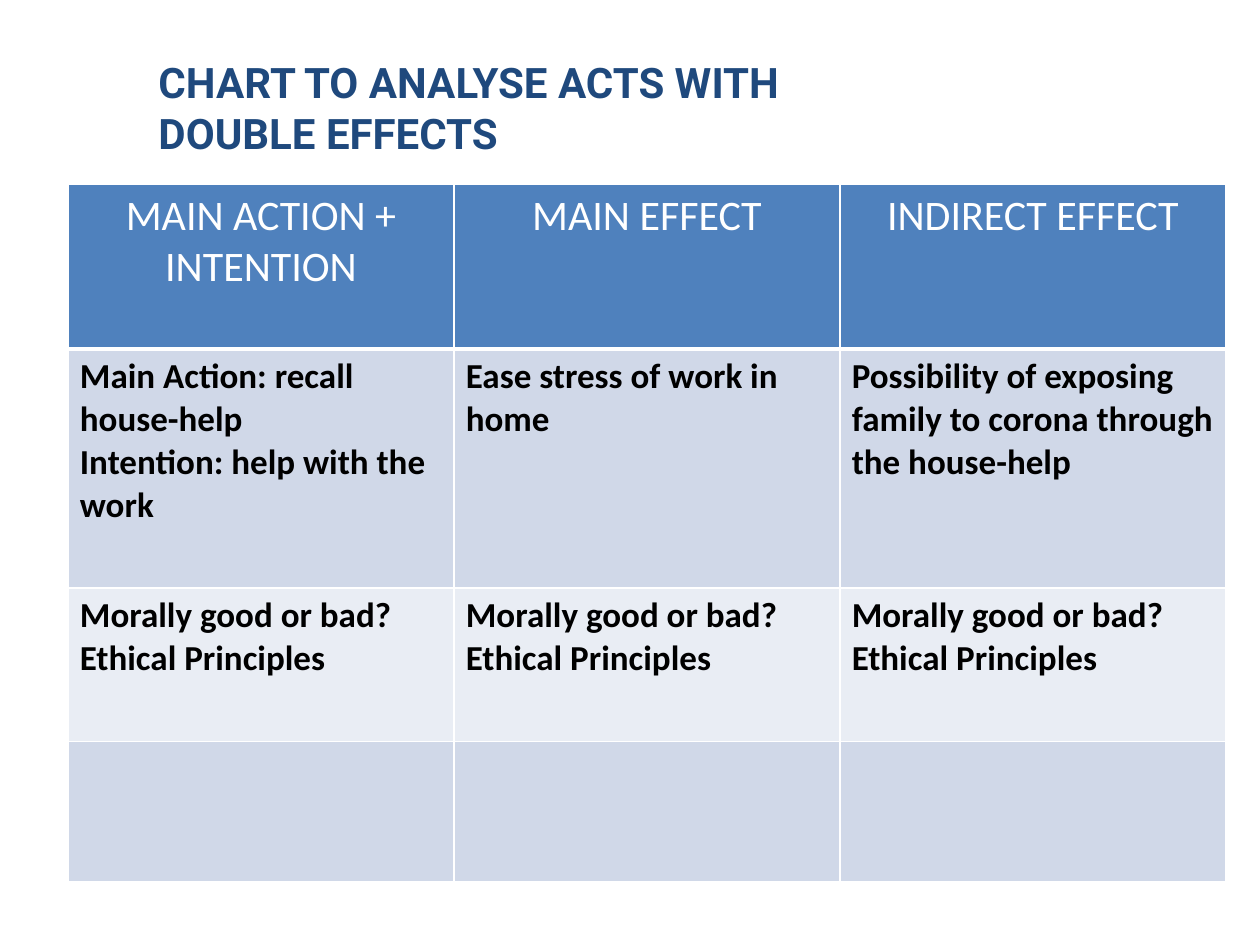
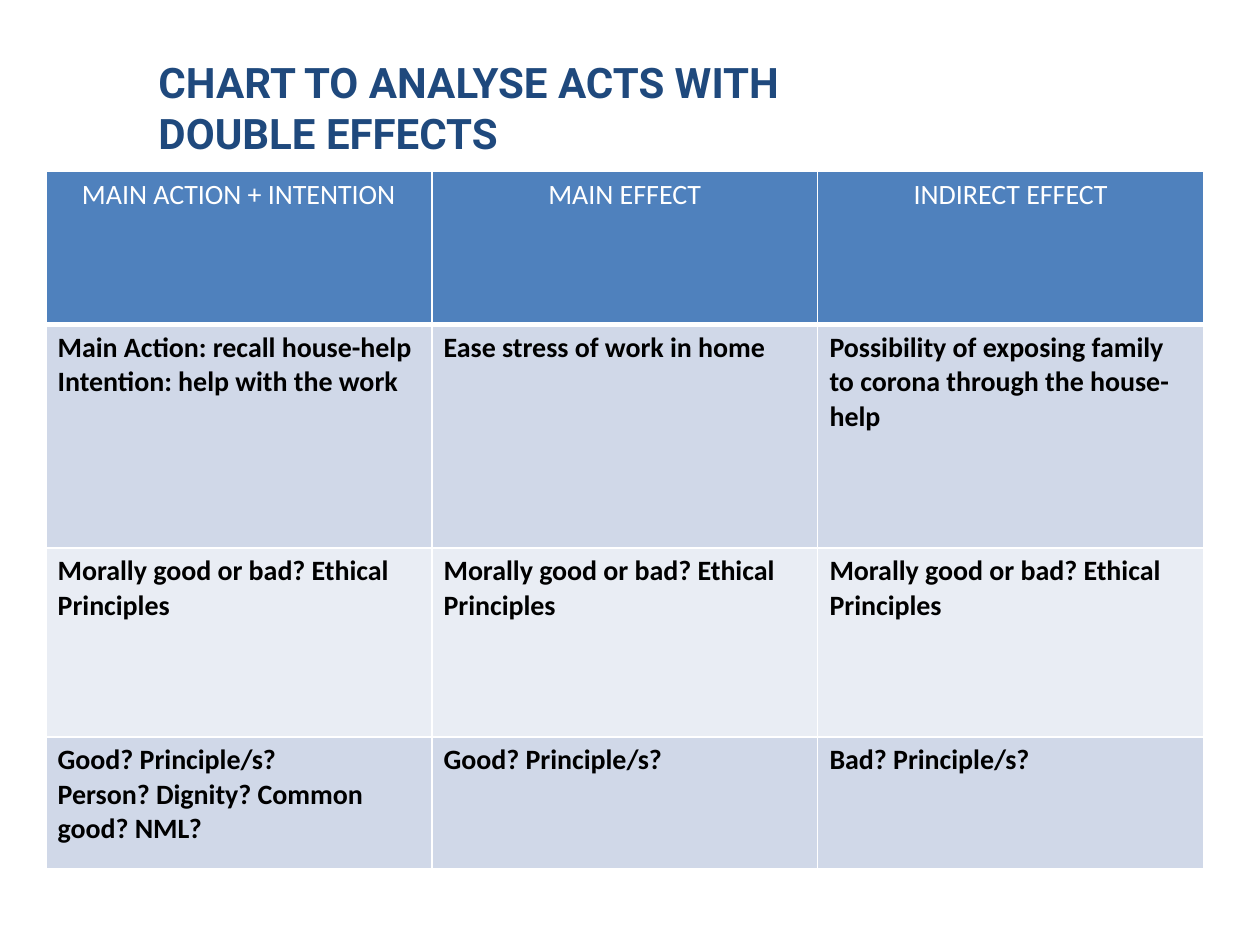
import pptx
import pptx.util
import pptx.dml.color
import pptx.enum.text
import pptx.oxml
import pptx.oxml.ns

Pt = pptx.util.Pt
RGBColor = pptx.dml.color.RGBColor
ALIGN = pptx.enum.text.PP_ALIGN

NAVY = RGBColor(0x1F, 0x49, 0x7D)
HEADER_BLUE = RGBColor(0x4F, 0x81, 0xBD)
BAND_DARK = RGBColor(0xD0, 0xD8, 0xE8)
BAND_LIGHT = RGBColor(0xE9, 0xED, 0xF4)
WHITE = RGBColor(0xFF, 0xFF, 0xFF)
BLACK = RGBColor(0x00, 0x00, 0x00)

TITLE = "CHART TO ANALYSE ACTS WITH\vDOUBLE EFFECTS"
TITLE_BOX = (83.5, 43.2, 424, 62)
COLUMN_WIDTH = 220.56
CELL_INSET_X, CELL_INSET_Y = 6.8, 3.6

# Rows that both charts share
COMMON_ROWS = [
    ["MAIN ACTION + INTENTION", "MAIN EFFECT", "INDIRECT EFFECT"],
    ["Main Action: recall house-help\nIntention: help with the work",
     "Ease stress of work in home",
     "Possibility of exposing family to corona through the house-help"],
    ["Morally good or bad? Ethical Principles"] * 3,
]
OPEN_ROW = ["", "", ""]
ANSWER_ROW = [
    "Good? Principle/s?\nPerson? Dignity? Common good? NML?",
    "Good? Principle/s?",
    "Bad? Principle/s?",
]


def style_font(font, name, size, color, bold):
    font.name, font.size, font.bold = name, Pt(size), bold
    font.color.rgb = color


def add_title(page, box):
    title = page.shapes.add_textbox(*map(Pt, box))
    frame = title.text_frame
    frame.word_wrap = True
    frame.vertical_anchor = pptx.enum.text.MSO_ANCHOR.MIDDLE
    # The bottom margin lifts the two lines clear of the table
    frame.margin_top, frame.margin_bottom = Pt(0), Pt(26)
    frame.text = TITLE
    for span in frame.paragraphs[0].runs:
        style_font(span.font, "Roboto", 24, NAVY, True)


def add_borders(cell, bottom_width):
    properties = cell._tc.get_or_add_tcPr()
    widths = {"lnL": 1, "lnR": 1, "lnT": 1, "lnB": bottom_width}
    for index, (side, width) in enumerate(widths.items()):
        properties.insert(index, pptx.oxml.parse_xml(
            f'<a:{side} {pptx.oxml.ns.nsdecls("a")} w="{Pt(width)}">'
            f'<a:solidFill><a:srgbClr val="{WHITE}"/></a:solidFill></a:{side}>'))


def fill_cell(cell, text, row, size):
    is_header = row == 0
    cell.margin_left = cell.margin_right = Pt(CELL_INSET_X)
    cell.margin_top = cell.margin_bottom = Pt(CELL_INSET_Y)
    cell.fill.solid()
    cell.fill.fore_color.rgb = (HEADER_BLUE if is_header
                                else BAND_DARK if row % 2 else BAND_LIGHT)
    add_borders(cell, 3 if is_header else 1)
    cell.text_frame.text = text
    for para in cell.text_frame.paragraphs:
        para.alignment = ALIGN.CENTER if is_header else ALIGN.LEFT
        for span in para.runs:
            style_font(span.font, "Calibri", size,
                       WHITE if is_header else BLACK, not is_header)


def add_effects_table(page, left, top, row_heights, rows, header_size, body_size):
    columns = len(rows[0])
    table = page.shapes.add_table(
        len(rows), columns, Pt(left), Pt(top),
        Pt(COLUMN_WIDTH * columns), Pt(sum(row_heights))).table
    table.horz_banding = False
    for column in table.columns:
        column.width = Pt(COLUMN_WIDTH)
    for row, (height, texts) in enumerate(zip(row_heights, rows)):
        table.rows[row].height = Pt(height)
        for column, text in enumerate(texts):
            fill_cell(table.cell(row, column), text, row,
                      body_size if row else header_size)


def add_chart_page(deck, **table):
    page = deck.slides.add_slide(deck.slide_layouts[6])
    add_title(page, TITLE_BOX)
    add_effects_table(page, **table)


def main():
    deck = pptx.Presentation()
    deck.slide_width, deck.slide_height = Pt(720), Pt(540)
    # Chart with the last row left open
    add_chart_page(deck, left=38.9, top=105.4, row_heights=[94, 136.5, 87.8, 80.4],
                   rows=COMMON_ROWS + [OPEN_ROW], header_size=24, body_size=20)
    # Chart with the last row answered
    add_chart_page(deck, left=26.2, top=98, row_heights=[87.5, 127.7, 108, 75.4],
                   rows=COMMON_ROWS + [ANSWER_ROW], header_size=16, body_size=16)
    deck.save("out.pptx")


if __name__ == "__main__":
    main()
